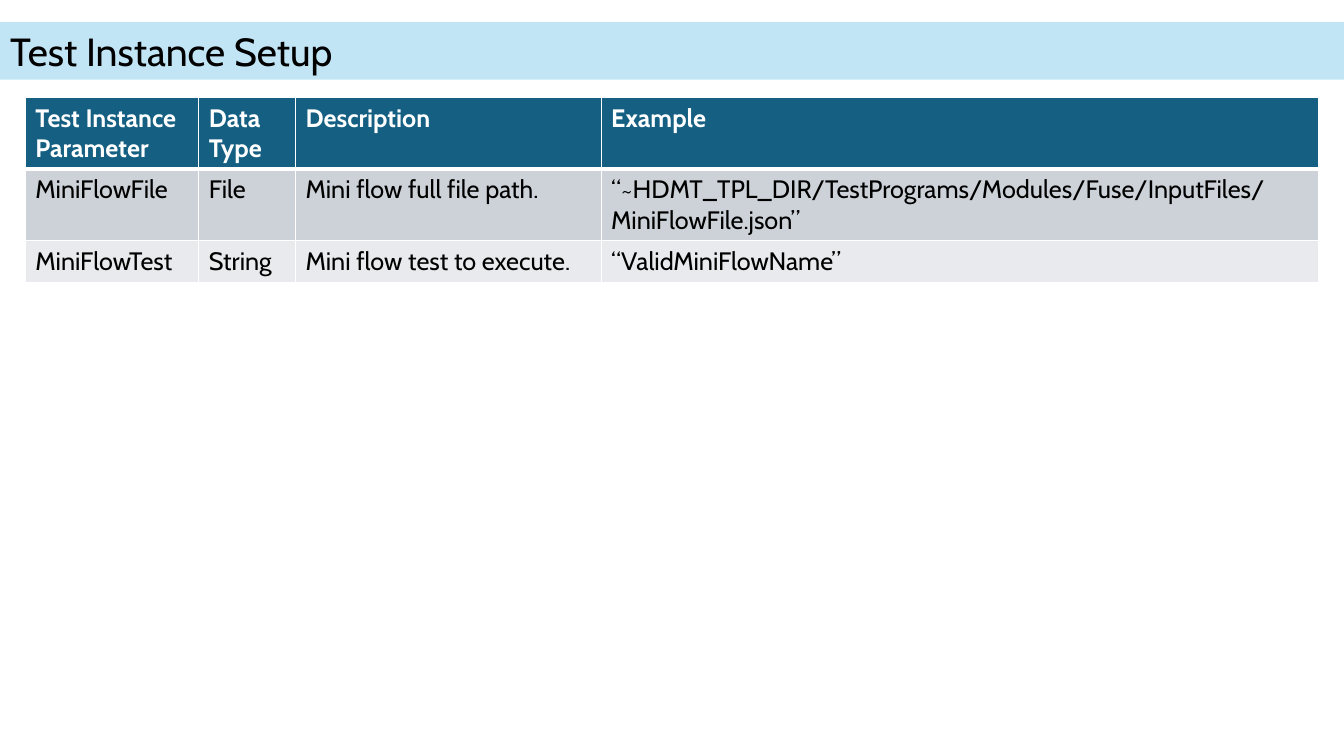
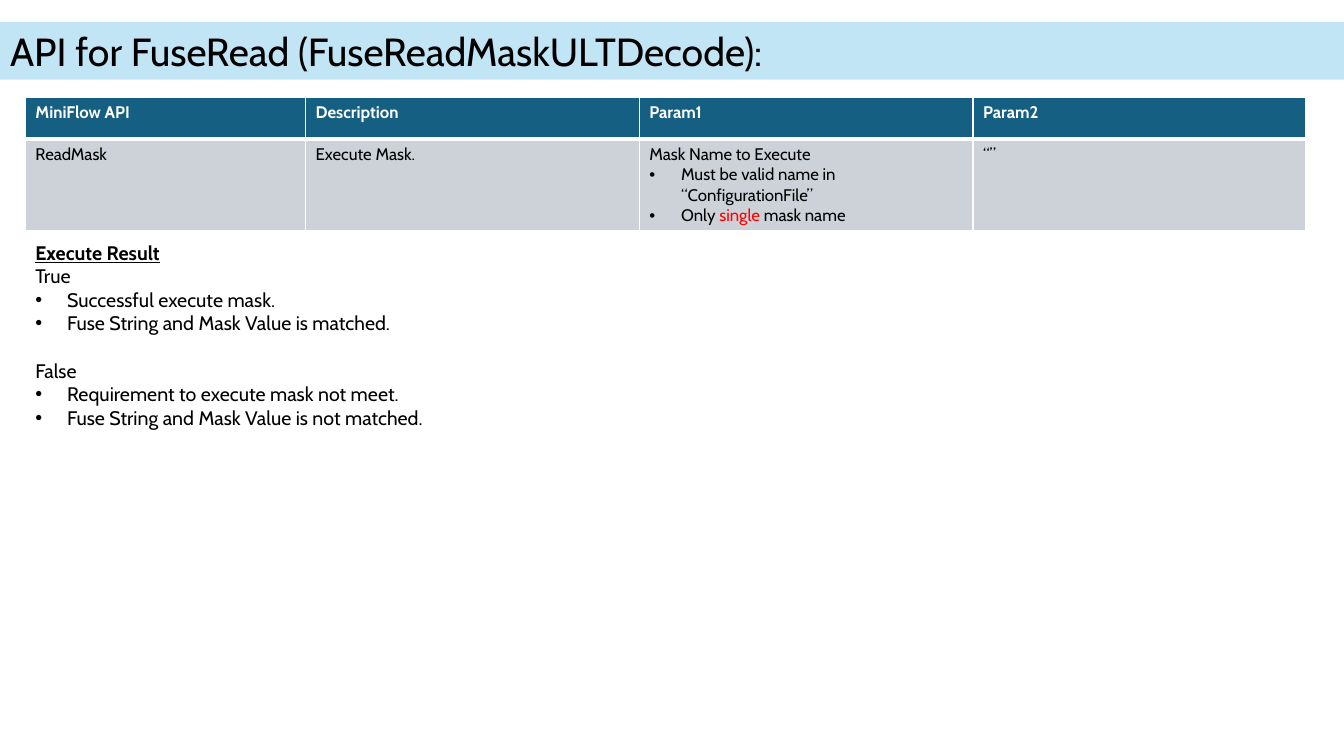
import pptx
import pptx.dml.color
import pptx.enum.text
import pptx.oxml
import pptx.oxml.ns
import pptx.util
from dataclasses import dataclass

Cm = pptx.util.Cm
Pt = pptx.util.Pt
RGB = pptx.dml.color.RGBColor
text = pptx.enum.text

WHITE = RGB(0xFF, 0xFF, 0xFF)
BLACK = RGB(0x00, 0x00, 0x00)
RED = RGB(0xFF, 0x00, 0x00)
SKY = RGB(0xC1, 0xE5, 0xF5)
TEAL = RGB(0x15, 0x60, 0x82)
BANDS = [RGB(0xCC, 0xD2, 0xD8), RGB(0xE8, 0xEA, 0xED)]
FONT = "Cabin"

WIDE, HIGH = Cm(33.87), Cm(19.05)
LEFT, TOP = Cm(0.64), Cm(2.46)
HANG = Cm(0.8)
EDGE, RULE = Pt(1), Pt(3)


@dataclass
class Line:
    """One paragraph; runs holds pairs of text and colour, None for the base colour."""
    runs: list
    dot: bool = False
    head: bool = False
    gap: int = 0


def plain(words, **style):
    return Line([(words, None)], **style)


def dot(words):
    return plain(words, dot=True)


def bullet(para):
    props = para._p.get_or_add_pPr()
    props.set("marL", str(HANG))
    props.set("indent", str(-HANG))
    space = pptx.oxml.ns.nsdecls("a")
    props.append(pptx.oxml.parse_xml(f'<a:buFont {space} typeface="Arial"/>'))
    props.append(pptx.oxml.parse_xml(f'<a:buChar {space} char="•"/>'))


def write(frame, lines, size, color=BLACK, bold=False):
    frame.word_wrap = True
    for index, line in enumerate(lines):
        para = frame.add_paragraph() if index else frame.paragraphs[0]
        para.alignment = text.PP_ALIGN.LEFT
        if line.dot:
            bullet(para)
        if line.gap:
            para.space_before = Pt(line.gap)
        for words, tint in line.runs:
            run = para.add_run()
            run.text = words
            font = run.font
            font.name, font.size = FONT, Pt(size)
            font.bold = bold or line.head
            font.underline = line.head
            font.color.rgb = tint or color


def border(cell, top, bottom):
    props = cell._tc.get_or_add_tcPr()
    space = pptx.oxml.ns.nsdecls("a")
    for side, width in zip("LRTB", (EDGE, EDGE, top, bottom)):
        props.append(pptx.oxml.parse_xml(
            f'<a:ln{side} {space} w="{int(width)}"><a:solidFill>'
            f'<a:srgbClr val="{WHITE}"/></a:solidFill></a:ln{side}>'))


def page(deck, words):
    """Add a slide whose title is the full-width band."""
    slide = deck.slides.add_slide(deck.slide_layouts[5])
    title = slide.shapes.title
    title.left, title.top = Cm(0), Cm(0.56)
    title.width, title.height = WIDE, Cm(1.45)
    title.fill.solid()
    title.fill.fore_color.rgb = SKY
    frame = title.text_frame
    frame.auto_size = text.MSO_AUTO_SIZE.NONE
    frame.vertical_anchor = text.MSO_ANCHOR.MIDDLE
    write(frame, [plain(words)], 28)
    return slide


def grid(slide, left, top, cols, rows, cells, size):
    """Place a table; cols and rows are sizes in centimetres."""
    table = slide.shapes.add_table(
        len(rows), len(cols), left, top, Cm(sum(cols)), Cm(sum(rows))).table
    for col, width in zip(table.columns, cols):
        col.width = Cm(width)
    for r, (row, high) in enumerate(zip(table.rows, rows)):
        row.height = Cm(high)
        head = r == 0
        for cell, item in zip(row.cells, cells[r]):
            lines = [plain(item)] if isinstance(item, str) else item
            write(cell.text_frame, lines, size, WHITE if head else BLACK, head)
            border(cell, RULE if r == 1 else EDGE, RULE if head else EDGE)
            cell.fill.solid()
            cell.fill.fore_color.rgb = TEAL if head else BANDS[(r - 1) % 2]


def notes(slide, left, top, width, height, lines):
    box = slide.shapes.add_textbox(left, top, width, height)
    write(box.text_frame, lines, 14)


def setup(deck):
    slide = page(deck, "Test Instance Setup")
    grid(slide, LEFT, TOP, [4.37, 2.44, 7.7, 18.08], [1.78, 1.78, 1.04], [
        ["Test Instance Parameter", "Data Type", "Description", "Example"],
        ["MiniFlowFile", "File", "Mini flow full file path.",
         "“~HDMT_TPL_DIR/TestPrograms/Modules/Fuse/InputFiles/MiniFlowFile.json”"],
        ["MiniFlowTest", "String", "Mini flow test to execute.",
         "“ValidMiniFlowName”"],
    ], 18)


def api(deck):
    slide = page(deck, "API for FuseRead (FuseReadMaskULTDecode):")
    mask = [
        plain("Mask Name to Execute"),
        dot("Must be valid name in “ConfigurationFile”"),
        Line([("Only ", None), ("single", RED), (" mask name", None)], dot=True),
    ]
    grid(slide, LEFT, TOP, [7.06, 8.41, 8.41, 8.38], [1.04, 2.29], [
        ["MiniFlow API", "Description", "Param1", "Param2"],
        ["ReadMask", "Execute Mask.", mask, "“”"],
    ], 12)
    notes(slide, LEFT, Cm(5.94), Cm(32.26), Cm(5.05), [
        plain("Execute Result", head=True),
        plain("True"),
        dot("Successful execute mask."),
        dot("Fuse String and Mask Value is matched."),
        plain("False", gap=17),
        dot("Requirement to execute mask not meet."),
        dot("Fuse String and Mask Value is not matched."),
    ])


def main():
    deck = pptx.Presentation()
    deck.slide_width, deck.slide_height = WIDE, HIGH
    setup(deck)
    api(deck)
    deck.save("out.pptx")


if __name__ == "__main__":
    main()
